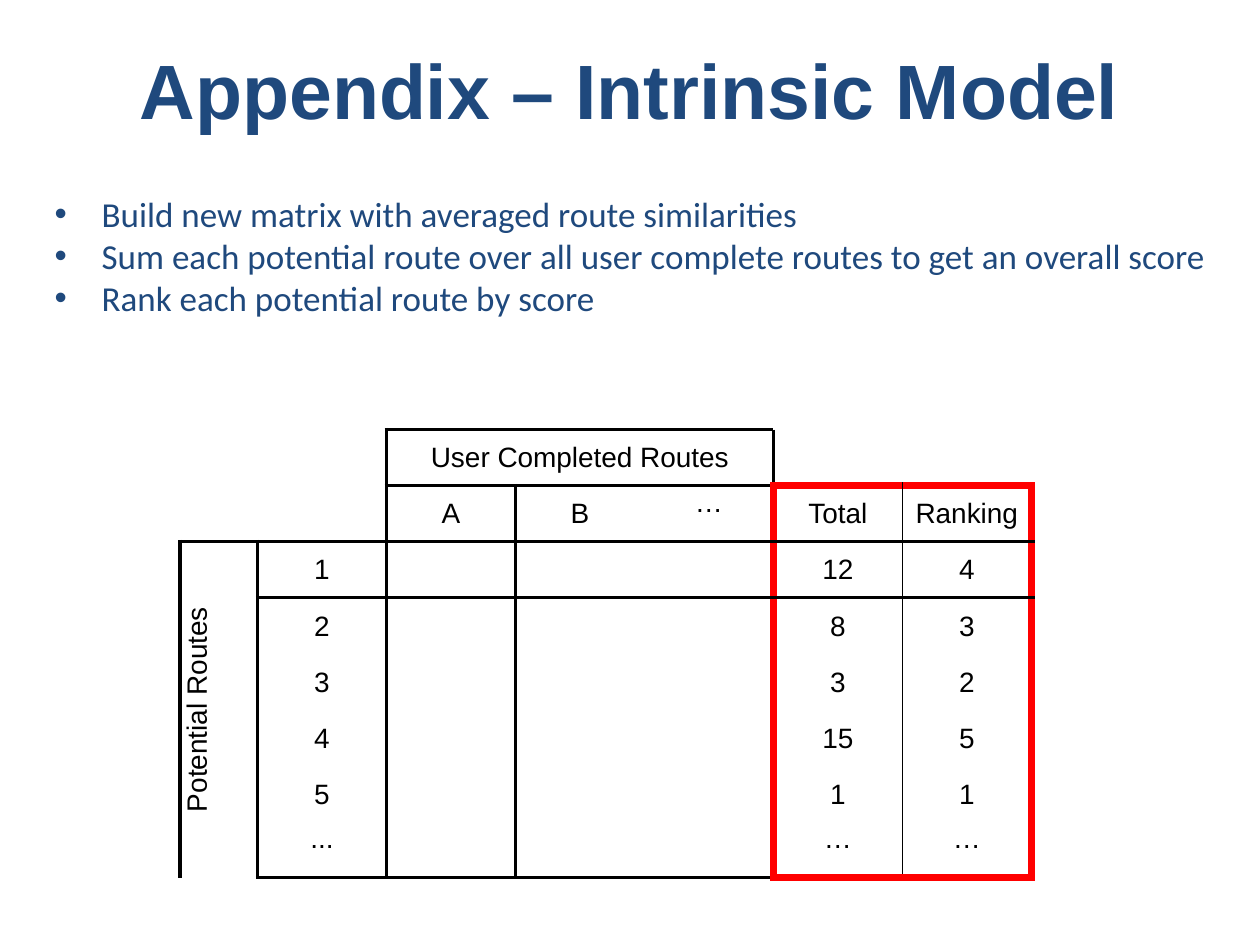
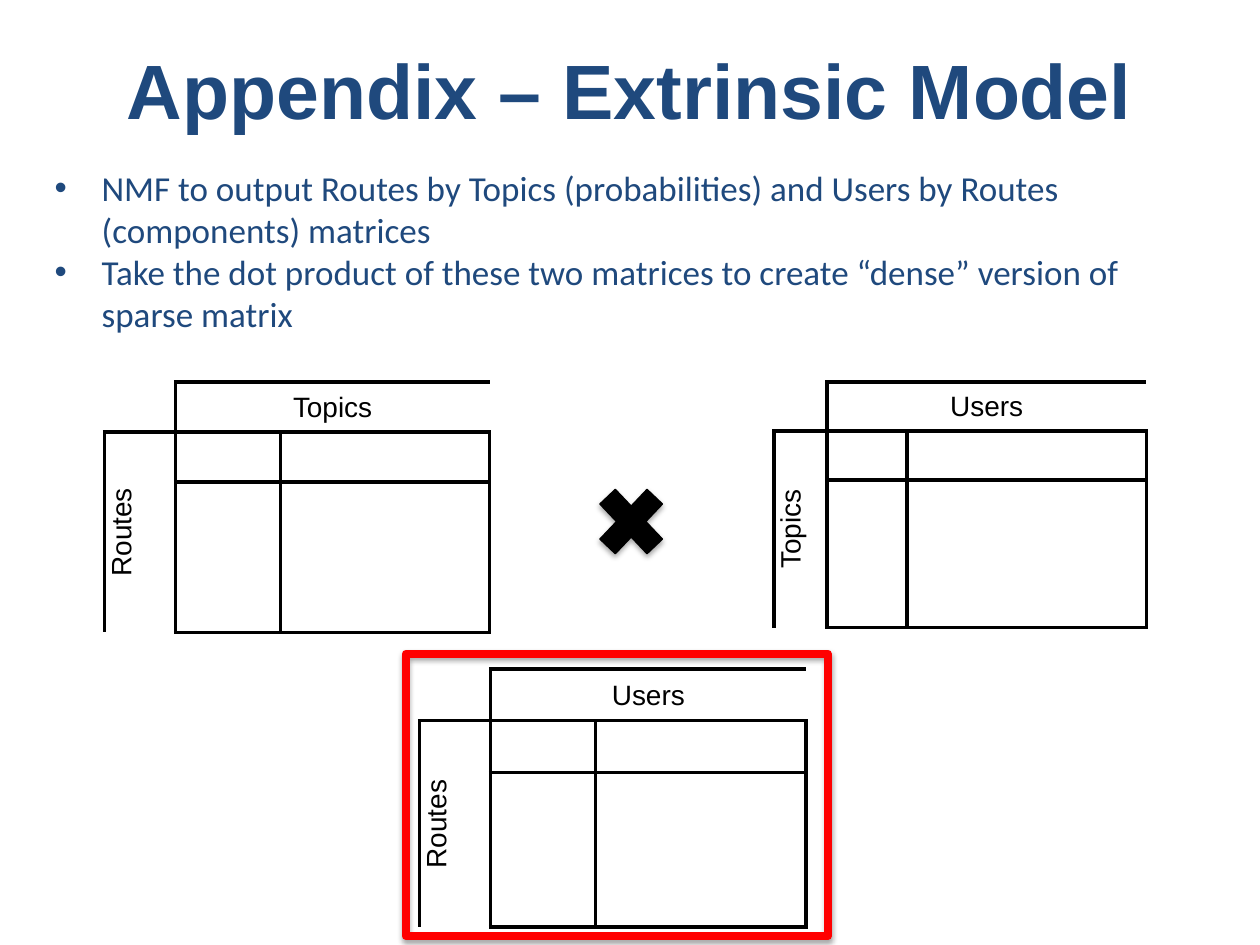
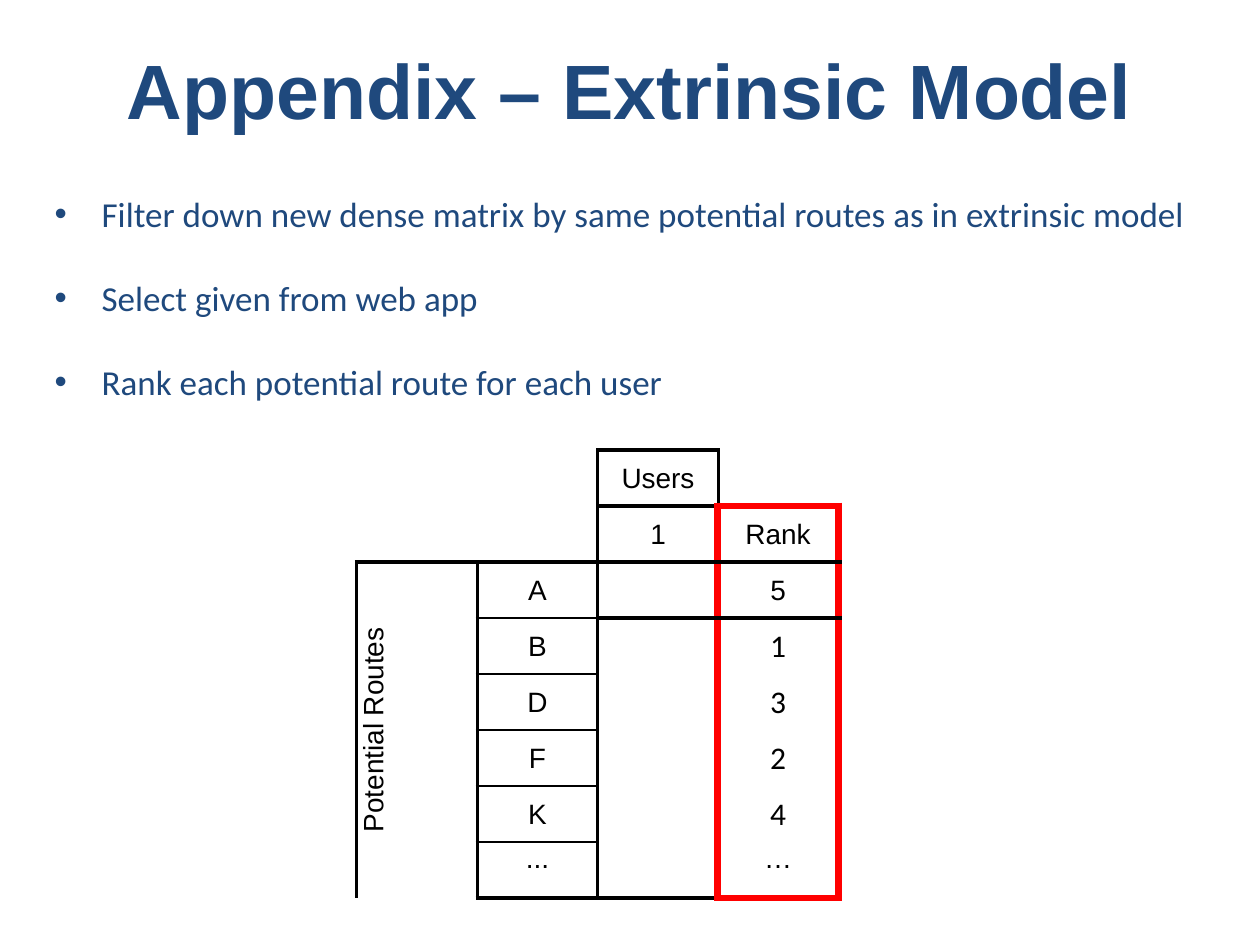
from lxml import etree
from pptx import Presentation
from pptx import util as u
from pptx.dml.color import RGBColor
from pptx.enum import shapes, text
from pptx.oxml import parse_xml
from pptx.oxml.ns import nsdecls, qn

COLORS = {"navy": "1F497D", "black": "000000", "red": "FF0000"}
HEAD, BODY = "Arial", "Calibri"
THIN, RULE, FRAME = 1, 2.25, 4.5
ROW = 1.13
NO_STYLE = "{2D5ABB26-0587-4C30-8999-92F81FD0307C}"
SIDES = ["L", "R", "T", "B"]
# side: (row step, column step, facing side)
NEIGHBOUR = {"L": (0, -1, "R"), "R": (0, 1, "L"), "T": (-1, 0, "B"), "B": (1, 0, "T")}


def color(name):
    return RGBColor.from_string(COLORS[name])


def add_run(p, words, size, font, fill, bold=False):
    r = p.add_run()
    r.text = words
    r.font.size, r.font.name, r.font.bold = u.Pt(size), font, bold
    r.font.color.rgb = color(fill)


# Text
def add_textbox(s, left, top, width, height):
    tf = s.shapes.add_textbox(u.Cm(left), u.Cm(top), u.Cm(width), u.Cm(height)).text_frame
    tf.word_wrap = True
    return tf


def add_title(s, words):
    tf = add_textbox(s, 1.27, 0.2, 22.86, 3.18)
    tf.vertical_anchor = text.MSO_ANCHOR.MIDDLE
    p = tf.paragraphs[0]
    p.alignment = text.PP_ALIGN.CENTER
    add_run(p, words, 44, HEAD, "navy", bold=True)


def add_bullets(s, top, items, gap=0):
    tf = add_textbox(s, 0.85, top, 23.7, 8.36)
    tf.margin_left = tf.margin_right = tf.margin_top = tf.margin_bottom = u.Cm(0.25)
    for i, item in enumerate(items):
        p = tf.paragraphs[0] if i == 0 else tf.add_paragraph()
        p.space_before = u.Pt(gap if i else 0)
        add_run(p, item, 20, BODY, "navy")
        pPr = p._p.get_or_add_pPr()
        pPr.set("marL", str(u.Cm(0.95)))
        pPr.set("indent", str(-u.Cm(0.95)))
        etree.SubElement(pPr, qn("a:buFont")).set("typeface", "Arial")
        etree.SubElement(pPr, qn("a:buChar")).set("char", "•")


# Tables
def add_grid(s, left, top, widths, row_count, row_height=ROW):
    frame = s.shapes.add_table(row_count, len(widths), u.Cm(left), u.Cm(top),
                               u.Cm(sum(widths)), u.Cm(row_height * row_count))
    t = frame.table
    t.first_row = t.horz_banding = False
    t._tbl.tblPr.find(qn("a:tableStyleId")).text = NO_STYLE
    for col, width in zip(t.columns, widths):
        col.width = u.Cm(width)
    for row in t.rows:
        row.height = u.Cm(row_height)
    for cell in t.iter_cells():
        cell.margin_left = cell.margin_right = cell.margin_top = u.Cm(0.03)
        cell.margin_bottom = 0
        cell.fill.background()
    return t


def put(t, row, col, words, size=16, font=HEAD, upright=False):
    cell = t.cell(row, col)
    dots = words in ("…", "...")
    cell.vertical_anchor = text.MSO_ANCHOR.TOP if dots else text.MSO_ANCHOR.MIDDLE
    p = cell.text_frame.paragraphs[0]
    p.alignment = text.PP_ALIGN.CENTER
    add_run(p, words, size, font, "black")
    if upright:
        cell._tc.get_or_add_tcPr().set("vert", "vert270")


def put_column(t, row, col, values):
    for i, value in enumerate(values):
        put(t, row + i, col, value)


def set_border(cell, side, fill, width):
    tcPr = cell._tc.get_or_add_tcPr()
    old = tcPr.find(qn("a:ln" + side))
    if old is not None:
        tcPr.remove(old)
    before = SIDES[:SIDES.index(side)]
    index = sum(tcPr.find(qn("a:ln" + b)) is not None for b in before)
    tcPr.insert(index, parse_xml(
        f'<a:ln{side} {nsdecls("a")} w="{u.Pt(width)}"><a:solidFill>'
        f'<a:srgbClr val="{COLORS[fill]}"/></a:solidFill></a:ln{side}>'))


def edge(t, row, col, side, fill="black", width=RULE):
    """Draw one cell edge, on both cells that share it."""
    set_border(t.cell(row, col), side, fill, width)
    down, right, facing = NEIGHBOUR[side]
    row, col = row + down, col + right
    if 0 <= row < len(t.rows) and 0 <= col < len(t.columns):
        set_border(t.cell(row, col), facing, fill, width)


def box(t, row, col, last_row, last_col, fill="black", width=RULE):
    for r in range(row, last_row + 1):
        edge(t, r, col, "L", fill, width)
        edge(t, r, last_col, "R", fill, width)
    for c in range(col, last_col + 1):
        edge(t, row, c, "T", fill, width)
        edge(t, last_row, c, "B", fill, width)


def merge(t, row, col, last_row, last_col):
    t.cell(row, col).merge(t.cell(last_row, last_col))
    box(t, row, col, last_row, last_col)


def add_matrix(s, left, top, widths, row_height, across, down):
    t = add_grid(s, left, top, widths, 5, row_height)
    last = len(widths) - 1
    box(t, 1, 1, 4, last)
    merge(t, 0, 1, 0, last)
    merge(t, 1, 0, 4, 0)
    put(t, 0, 1, across)
    put(t, 1, 0, down, upright=True)


# Shapes
def add_shadowed(s, kind, left, top, width, height, line, line_width, fill=None):
    sp = s.shapes.add_shape(kind, u.Cm(left), u.Cm(top), u.Cm(width), u.Cm(height))
    if fill:
        sp.fill.solid()
        sp.fill.fore_color.rgb = color(fill)
    else:
        sp.fill.background()
    sp.line.color.rgb = color(line)
    sp.line.width = u.Pt(line_width)
    sp.shadow.inherit = False
    effects = sp._element.spPr.find(qn("a:effectLst"))
    effects.append(parse_xml(
        f'<a:outerShdw {nsdecls("a")} blurRad="{u.Pt(3.1)}" dist="{u.Pt(1.8)}" dir="5400000" '
        'rotWithShape="0"><a:srgbClr val="000000"><a:alpha val="35000"/></a:srgbClr></a:outerShdw>'))


# Slides
def intrinsic_slide(s):
    add_title(s, "Appendix – Intrinsic Model")
    add_bullets(s, 3.63, [
        "Build new matrix with averaged route similarities",
        "Sum each potential route over all user complete routes to get an overall score",
        "Rank each potential route by score"])

    routes = add_grid(s, 3.63, 8.66, [1.56] + [2.6] * 4, 8)
    routes.cell(0, 0).merge(routes.cell(0, 1))
    box(routes, 1, 2, 1, 4)
    box(routes, 2, 1, 7, 1)
    box(routes, 2, 2, 7, 4)
    merge(routes, 0, 2, 0, 4)
    merge(routes, 2, 0, 7, 0)
    put(routes, 0, 2, "User Completed Routes")
    for col, name in enumerate(["A", "B", "…"], 2):
        put(routes, 1, col, name)
    put(routes, 2, 0, "Potential Routes", upright=True)
    put_column(routes, 2, 1, ["1", "2", "3", "4", "5", "..."])

    scores = add_grid(s, 15.59, 8.66, [2.6] * 2, 8)
    put_column(scores, 1, 0, ["Total", "12", "8", "3", "15", "1", "…"])
    put_column(scores, 1, 1, ["Ranking", "4", "3", "2", "5", "1", "…"])
    edge(scores, 0, 0, "L")
    box(scores, 1, 0, 7, 0, width=THIN)
    box(scores, 1, 0, 7, 1, "red", FRAME)
    for col in range(2):
        edge(scores, 1, col, "B")


def product_slide(s):
    add_title(s, "Appendix – Extrinsic Model")
    add_bullets(s, 3.1, [
        "NMF to output Routes by Topics (probabilities) and Users by Routes (components) matrices",
        "Take the dot product of these two matrices to create “dense” version of sparse matrix"])
    add_matrix(s, 2.11, 7.7, [1.43] + [2.11] * 3, 1.01, "Topics", "Routes")
    add_matrix(s, 15.6, 7.7, [1.07] + [1.61] * 4, 0.99, "Users", "Topics")
    add_shadowed(s, shapes.MSO_SHAPE.MATH_MULTIPLY, 11.81, 9.55, 1.83, 1.93,
                 "black", 0.75, "black")
    add_matrix(s, 8.46, 13.49, [1.43] + [2.12] * 3, 1.04, "Users", "Routes")
    add_shadowed(s, shapes.MSO_SHAPE.RECTANGLE, 8.18, 13.18, 8.51, 5.69, "red", FRAME)


def ranking_slide(s):
    add_title(s, "Appendix – Extrinsic Model")
    add_bullets(s, 3.63, [
        "Filter down new dense matrix by same potential routes as in extrinsic model",
        "Select given from web app",
        "Rank each potential route for each user"], gap=24)

    users = add_grid(s, 7.19, 9.07, [2.43] * 3, 8)
    for row in range(2, 8):
        box(users, row, 1, row, 1, width=THIN)
    box(users, 0, 2, 0, 2)
    box(users, 1, 2, 1, 2)
    box(users, 2, 1, 7, 1)
    box(users, 2, 2, 7, 2)
    merge(users, 2, 0, 7, 0)
    put_column(users, 0, 2, ["Users", "1"])
    put(users, 2, 0, "Potential Routes", upright=True)
    put_column(users, 2, 1, ["A", "B", "D", "F", "K", "..."])

    ranks = add_grid(s, 14.47, 9.07 + ROW, [2.43], 7)
    put_column(ranks, 0, 0, ["Rank", "5"])
    for row, rank in enumerate(["1", "3", "2", "4"], 2):
        put(ranks, row, 0, rank, 18, BODY)
    put(ranks, 6, 0, "…")
    box(ranks, 0, 0, 6, 0, "red", FRAME)
    edge(ranks, 0, 0, "B")


def main():
    prs = Presentation()
    prs.slide_width, prs.slide_height = u.Cm(25.4), u.Cm(19.05)
    for build in (intrinsic_slide, product_slide, ranking_slide):
        build(prs.slides.add_slide(prs.slide_layouts[6]))
    prs.save("out.pptx")


if __name__ == "__main__":
    main()
